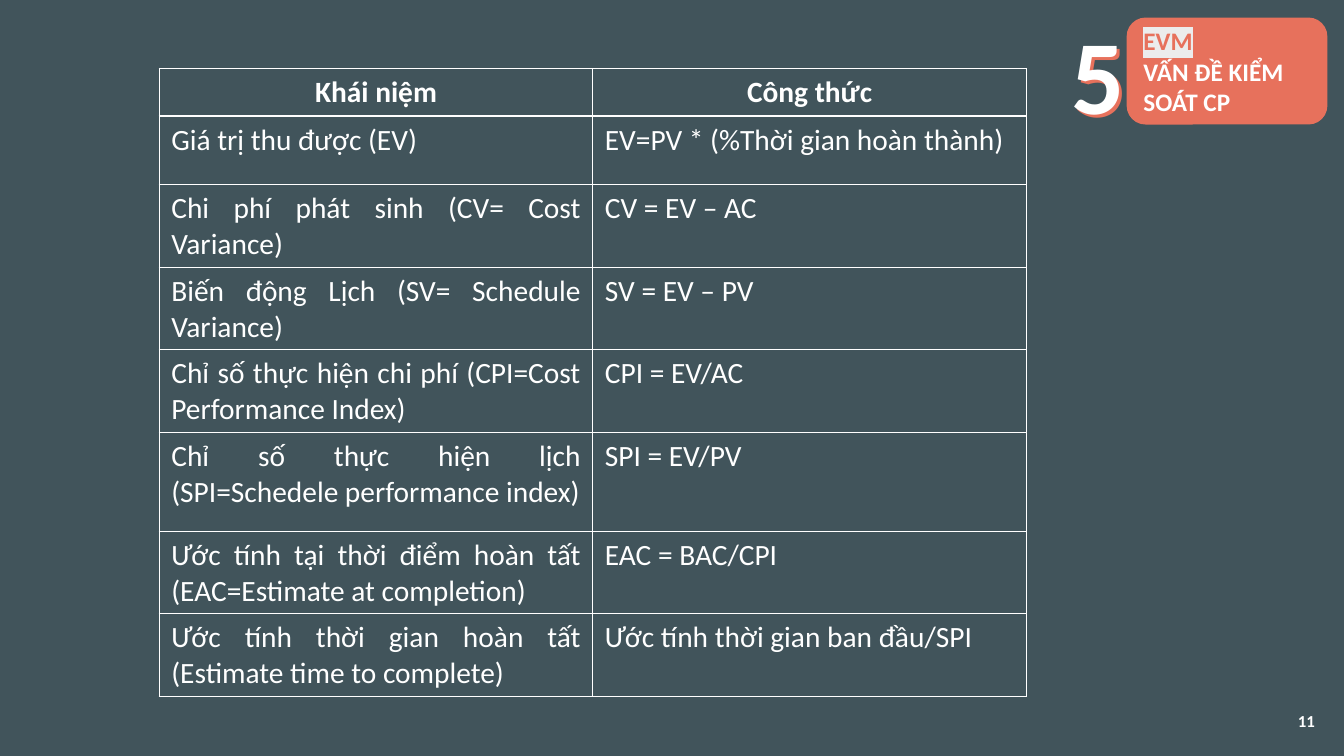
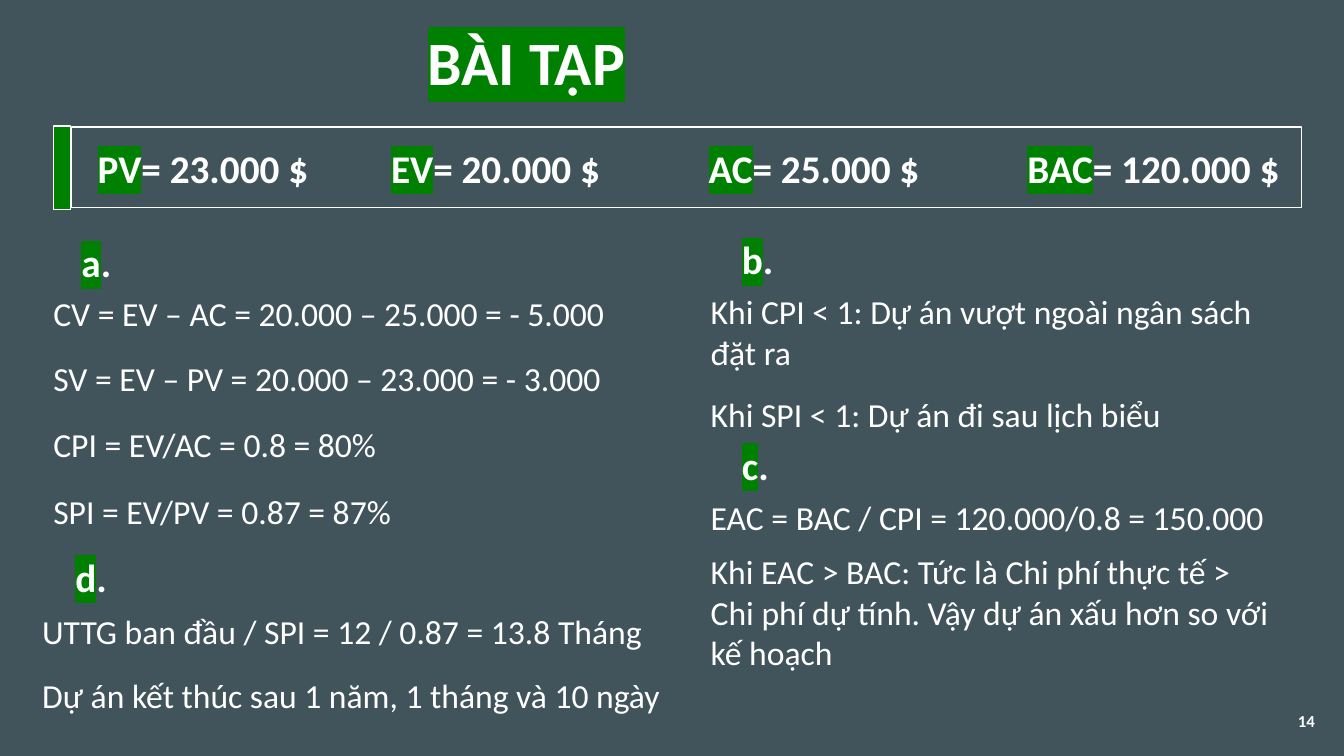
from lxml import etree
from pptx import Presentation
from pptx import util as u
from pptx.dml.color import RGBColor
from pptx.enum import shapes, text
from pptx.oxml import ns

COLORS = {
    "background": "41545B",
    "text": "FFFFFF",
    "accent": "E7715C",
    "marker": "008000",
    "pale": "ECECEC",
}
FONT = "Calibri"
ALIGN = text.PP_ALIGN


def add_run(paragraph, words, size, bold=False, color="text", highlight=None):
    run = paragraph.add_run()
    run.text = words
    font = run.font
    font.size = u.Pt(size)
    font.bold = bold
    font.color.rgb = RGBColor.from_string(COLORS[color])
    if highlight:
        mark = etree.SubElement(font._element, ns.qn("a:highlight"))
        etree.SubElement(mark, ns.qn("a:srgbClr"), val=COLORS[highlight])
    font.name = FONT


def add_text(slide, left, top, width, height):
    box = slide.shapes.add_textbox(
        u.Inches(left), u.Inches(top), u.Inches(width), u.Inches(height)
    )
    box.text_frame.word_wrap = True
    return box.text_frame


presentation = Presentation()
presentation.slide_width = u.Inches(13.33)
presentation.slide_height = u.Inches(7.5)
background = presentation.slide_master.background.fill
background.solid()
background.fore_color.rgb = RGBColor.from_string(COLORS["background"])

slides = []
for number, left, top, width, height, anchor in [
    ("11", 11.24, 0.19, 1.86, 1.03, text.MSO_ANCHOR.MIDDLE),
    ("14", 4.14, 0.19, 2.77, 0.84, text.MSO_ANCHOR.TOP),
]:
    slide = presentation.slides.add_slide(presentation.slide_layouts[5])
    title = slide.shapes.title
    title.left, title.top = u.Inches(left), u.Inches(top)
    title.width, title.height = u.Inches(width), u.Inches(height)
    title.text_frame.vertical_anchor = anchor
    title.text_frame.auto_size = text.MSO_AUTO_SIZE.NONE
    title.text_frame.paragraphs[0].alignment = ALIGN.LEFT
    frame = add_text(slide, 10.14, 6.95, 3, 0.4)
    frame.vertical_anchor = text.MSO_ANCHOR.MIDDLE
    frame.paragraphs[0].alignment = ALIGN.RIGHT
    add_run(frame.paragraphs[0], number, 12, bold=True)
    slides.append(slide)
formula_slide, exercise_slide = slides

title = formula_slide.shapes.title
badge = formula_slide.shapes.add_shape(
    shapes.MSO_SHAPE.ROUNDED_RECTANGLE,
    u.Inches(11.19), u.Inches(0.19), u.Inches(1.96), u.Inches(1.03),
)
badge.shadow.inherit = False
badge.fill.solid()
badge.fill.fore_color.rgb = RGBColor.from_string(COLORS["accent"])
badge.line.color.rgb = RGBColor.from_string(COLORS["accent"])
badge.line.width = u.Pt(2.25)
title._element.addprevious(badge._element)
add_run(title.text_frame.paragraphs[0], "EVM", 18, True, "accent", "pale")
paragraph = title.text_frame.add_paragraph()
paragraph.alignment = ALIGN.LEFT
add_run(paragraph, "VẤN ĐỀ KIỂM SOÁT CP", 18, True)

for left, top, color in [(10.66, 0.08, "accent"), (10.63, 0.05, "text")]:
    frame = add_text(formula_slide, left, top, 0.6, 1.36)
    frame.margin_left = frame.margin_right = 0
    add_run(frame.paragraphs[0], "5", 75, True, color)

formulas = [
    ("Khái niệm", "Công thức", 0.46),
    ("Giá trị thu được (EV)", "EV=PV * (%Thời gian hoàn thành)", 0.68),
    ("Chi phí phát sinh (CV= Cost Variance)", "CV = EV – AC", 0.82),
    ("Biến động Lịch (SV= Schedule Variance)", "SV = EV – PV", 0.82),
    ("Chỉ số thực hiện chi phí (CPI=Cost Performance Index)", "CPI = EV/AC", 0.82),
    ("Chỉ số thực hiện lịch (SPI=Schedele performance index)", "SPI = EV/PV", 0.98),
    ("Ước tính tại thời điểm hoàn tất (EAC=Estimate at completion)", "EAC = BAC/CPI", 0.82),
    ("Ước tính thời gian hoàn tất (Estimate time to complete)", "Ước tính thời gian ban đầu/SPI", 0.82),
]
table = formula_slide.shapes.add_table(
    len(formulas), 2, u.Inches(1.58), u.Inches(0.68), u.Inches(8.6), u.Inches(6.22)
).table
table.horz_banding = False
for row_index, (concept, formula, height) in enumerate(formulas):
    table.rows[row_index].height = u.Inches(height)
    header = row_index == 0
    for column_index, words in enumerate((concept, formula)):
        cell = table.cell(row_index, column_index)
        cell.margin_left = cell.margin_right = u.Inches(0.12)
        cell.margin_top = cell.margin_bottom = u.Inches(0.06)
        cell.fill.background()
        properties = cell._tc.get_or_add_tcPr()
        for position, side in enumerate(("lnL", "lnR", "lnT", "lnB")):
            border = etree.Element(ns.qn("a:" + side), w=str(u.Pt(1)))
            fill = etree.SubElement(border, ns.qn("a:solidFill"))
            etree.SubElement(fill, ns.qn("a:srgbClr"), val=COLORS["text"])
            properties.insert(position, border)
        paragraph = cell.text_frame.paragraphs[0]
        paragraph.alignment = ALIGN.CENTER if header else ALIGN.JUSTIFY
        add_run(paragraph, words, 21, bold=header)

title = exercise_slide.shapes.title
add_run(title.text_frame.paragraphs[0], "BÀI TẬP", 44, True, highlight="marker")

for left, top, width, height, color in [
    (0.71, 1.26, 12.2, 0.8, None),
    (0.53, 1.25, 0.17, 0.83, "marker"),
]:
    band = exercise_slide.shapes.add_shape(
        shapes.MSO_SHAPE.RECTANGLE,
        u.Inches(left), u.Inches(top), u.Inches(width), u.Inches(height),
    )
    band.shadow.inherit = False
    band.line.color.rgb = RGBColor.from_string(COLORS["text"])
    band.line.width = u.Pt(1)
    if color:
        band.fill.solid()
        band.fill.fore_color.rgb = RGBColor.from_string(COLORS[color])
    else:
        band.fill.background()

for left, top, marked, rest in [
    (0.87, 1.38, "PV", "= 23.000 $"),
    (3.78, 1.38, "EV", "= 20.000 $"),
    (6.93, 1.38, "AC", "= 25.000 $"),
    (10.09, 1.38, "BAC", "= 120.000 $"),
    (0.71, 2.32, "a", "."),
    (7.26, 2.29, "b", "."),
    (7.26, 4.33, "c", "."),
    (0.65, 5.44, "d", "."),
]:
    frame = add_text(exercise_slide, left, top, 2.89, 0.57)
    add_run(frame.paragraphs[0], marked, 28, True, highlight="marker")
    add_run(frame.paragraphs[0], rest, 28, True)

for left, top, width, height, words in [
    (0.43, 2.86, 5.81, 0.5, "CV = EV – AC = 20.000 – 25.000 = - 5.000"),
    (0.43, 3.5, 5.81, 0.5, "SV = EV – PV = 20.000 – 23.000 = - 3.000"),
    (0.43, 4.16, 5.81, 0.5, "CPI = EV/AC = 0.8 = 80%"),
    (0.43, 4.82, 5.81, 0.5, "SPI = EV/PV = 0.87 = 87%"),
    (6.95, 2.84, 5.81, 0.91, "Khi CPI < 1: Dự án vượt ngoài ngân sách đặt ra"),
    (6.95, 3.86, 5.81, 0.5, "Khi SPI < 1: Dự án đi sau lịch biểu"),
    (6.95, 4.88, 5.81, 0.5, "EAC = BAC / CPI = 120.000/0.8 = 150.000"),
    (6.95, 5.42, 5.81, 1.31,
     "Khi EAC > BAC: Tức là Chi phí thực tế > Chi phí dự tính. Vậy dự án xấu hơn so với kế hoạch"),
    (0.32, 6.01, 6.59, 0.5, "UTTG ban đầu / SPI = 12 / 0.87 = 13.8 Tháng"),
    (0.32, 6.65, 6.59, 0.5, "Dự án kết thúc sau 1 năm, 1 tháng và 10 ngày"),
]:
    frame = add_text(exercise_slide, left, top, width, height)
    add_run(frame.paragraphs[0], words, 24)

presentation.save("out.pptx")
